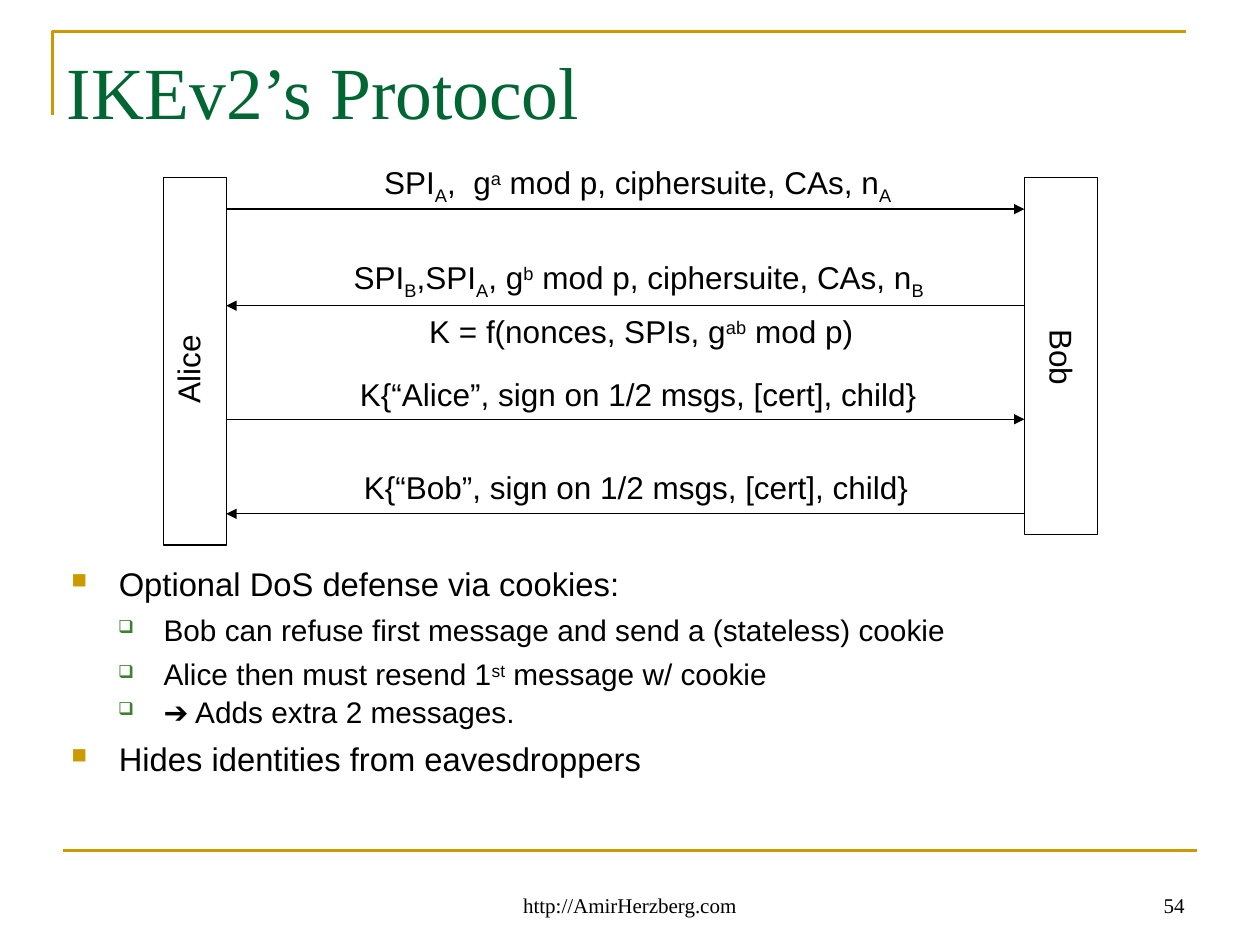
from pptx import Presentation
from pptx.dml.color import RGBColor
from pptx.enum.shapes import MSO_CONNECTOR, MSO_SHAPE
from pptx.enum.text import MSO_ANCHOR, MSO_AUTO_SIZE, PP_ALIGN
from pptx.oxml.ns import qn
from pptx.util import Pt
from lxml.etree import SubElement

COLORS = {name: RGBColor.from_string(value) for name, value in {
    "gold": "CC9900", "title": "006633", "green": "3B812F",
    "black": "000000", "white": "FFFFFF"}.items()}
BASELINES = {"_": "-25000", "^": "30000"}


def write(para, text, size, font="Arial", color="black"):
    """Fill a paragraph; pieces between bars that open with _ or ^ are sub- or superscript."""
    para.font.size, para.font.name = Pt(size), font
    para.font.color.rgb = COLORS[color]
    for piece in text.split("|"):
        span = para.add_run()
        span.text = piece.lstrip("_^")
        if piece[0] in BASELINES:
            span._r.get_or_add_rPr().set("baseline", BASELINES[piece[0]])


def connect(x1, y1, x2, y2, color, width, arrow=False):
    line = slide.shapes.add_connector(
        MSO_CONNECTOR.STRAIGHT, Pt(x1), Pt(y1), Pt(x2), Pt(y2))
    line.line.color.rgb = COLORS[color]
    line.line.width = Pt(width)
    if arrow:
        SubElement(line.line._get_or_add_ln(), qn("a:tailEnd"), type="triangle")
    SubElement(line._element.spPr, qn("a:effectLst"))


deck = Presentation()
deck.slide_width, deck.slide_height = Pt(720), Pt(540)
slide = deck.slides.add_slide(deck.slide_layouts[5])

# Frame rules
builder = slide.shapes.build_freeform(Pt(30), Pt(66))
builder.add_line_segments([(Pt(30), Pt(18)), (Pt(678), Pt(18))], close=False)
corner = builder.convert_to_shape()
corner.shadow.inherit = False
corner.fill.background()
corner.line.color.rgb = COLORS["gold"]
corner.line.width = Pt(1.5)
connect(36, 486, 684, 486, "gold", 1.5)

# Footer and page number
for left, width, align, text in [
        (246, 228, PP_ALIGN.CENTER, "http://AmirHerzberg.com"),
        (516, 168, PP_ALIGN.RIGHT, "54")]:
    box = slide.shapes.add_textbox(Pt(left), Pt(492), Pt(width), Pt(36))
    box.text_frame.word_wrap = True
    box.text_frame.vertical_anchor = MSO_ANCHOR.BOTTOM
    para = box.text_frame.paragraphs[0]
    para.alignment = align
    write(para, text, 12, "Times New Roman")

# Title
title = slide.shapes.title
title.left, title.top, title.width, title.height = Pt(31), Pt(20.6), Pt(653), Pt(61.2)
title.text_frame.vertical_anchor = MSO_ANCHOR.MIDDLE
title.text_frame.auto_size = MSO_AUTO_SIZE.NONE
para = title.text_frame.paragraphs[0]
para.alignment = PP_ALIGN.LEFT
write(para, "IKEv2’s Protocol", 42, "Times New Roman", "title")

# The two parties, with vertical names
ALICE_EDGE, BOB_EDGE = 129.3, 585.4
for name, left, width, height, name_left, name_top, name_height, turn in [
        ("Alice", 93.6, 36, 210, 92.9, 182.5, 55, 180),
        ("Bob", BOB_EDGE, 41.8, 204, 585.4, 181, 48, 0)]:
    party = slide.shapes.add_shape(
        MSO_SHAPE.RECTANGLE, Pt(left), Pt(101.5), Pt(width), Pt(height))
    party.shadow.inherit = False
    party.fill.solid()
    party.fill.fore_color.rgb = COLORS["white"]
    party.line.color.rgb = COLORS["black"]
    party.line.width = Pt(0.75)

    box = slide.shapes.add_textbox(
        Pt(name_left), Pt(name_top), Pt(36), Pt(name_height))
    box.rotation = turn
    frame = box.text_frame
    frame.margin_left = frame.margin_right = Pt(3.6)
    frame.margin_top = frame.margin_bottom = Pt(7.2)
    frame.word_wrap = False
    frame.auto_size = MSO_AUTO_SIZE.NONE
    frame._txBody.bodyPr.set("vert", "eaVert")
    write(frame.paragraphs[0], name, 18)

# Message arrows, alternating in direction
for y, start, end in [
        (119.5, ALICE_EDGE, BOB_EDGE), (174.7, BOB_EDGE, ALICE_EDGE),
        (239.6, ALICE_EDGE, BOB_EDGE), (293.6, BOB_EDGE, ALICE_EDGE)]:
    connect(start, y, end, y, "black", 0.75, arrow=True)

# Message texts, in boxes wide enough to hold each on one line
for left, top, width, height, text in [
        (212.4, 89.8, 320, 31.7, "SPI|_A|,  g|^a| mod p, ciphersuite, CAs, n|_A"),
        (195, 143.9, 356, 31.7, "SPI|_B|,SPI|_A|, g|^b| mod p, ciphersuite, CAs, n|_B"),
        (238.2, 175, 272, 28.8, "K = f(nonces, SPIs, g|^ab| mod p)"),
        (198.6, 211, 348, 28.8, "K{“Alice”, sign on 1/2 msgs, [cert], child}"),
        (200.9, 263.8, 341, 28.8, "K{“Bob”, sign on 1/2 msgs, [cert], child}")]:
    box = slide.shapes.add_textbox(Pt(left), Pt(top), Pt(width), Pt(height))
    box.text_frame.word_wrap = True
    box.text_frame.auto_size = MSO_AUTO_SIZE.NONE
    write(box.text_frame.paragraphs[0], text, 18)

# Bulleted notes: size, space before, left margin, hanging indent, bullet, its colour and size
LEVELS = [(18.7, 5.5, 27, 27, "■", "gold", 65),
          (17, 5, 52.6, 25.9, "❑", "green", 60)]
notes = slide.shapes.add_textbox(Pt(33.8), Pt(318.6), Pt(648), Pt(131.8))
notes.text_frame.word_wrap = True
for index, (level, spacing, text) in enumerate([
        (0, 1, "Optional DoS defense via cookies:"),
        (1, 1, "Bob can refuse first message and send a (stateless) cookie"),
        (1, 1, "Alice then must resend 1|^st| message w/ cookie"),
        (1, 0.8, "➔ Adds extra 2 messages."),
        (0, 1, "Hides identities from eavesdroppers")]):
    para = notes.text_frame.add_paragraph() if index else notes.text_frame.paragraphs[0]
    size, before, margin, hanging, bullet, color, percent = LEVELS[level]
    para.level = level
    para.line_spacing = spacing
    para.space_before = Pt(before)
    write(para, text, size)
    props = para._p.get_or_add_pPr()
    props.set("marL", str(Pt(margin)))
    props.set("indent", str(-Pt(hanging)))
    marks = [SubElement(props, qn(tag)) for tag in ("a:buClr", "a:buSzPct", "a:buChar")]
    SubElement(marks[0], qn("a:srgbClr"), val=str(COLORS[color]))
    marks[1].set("val", str(percent * 1000))
    marks[2].set("char", bullet)
    props.append(props.find(qn("a:defRPr")))

deck.save("out.pptx")
